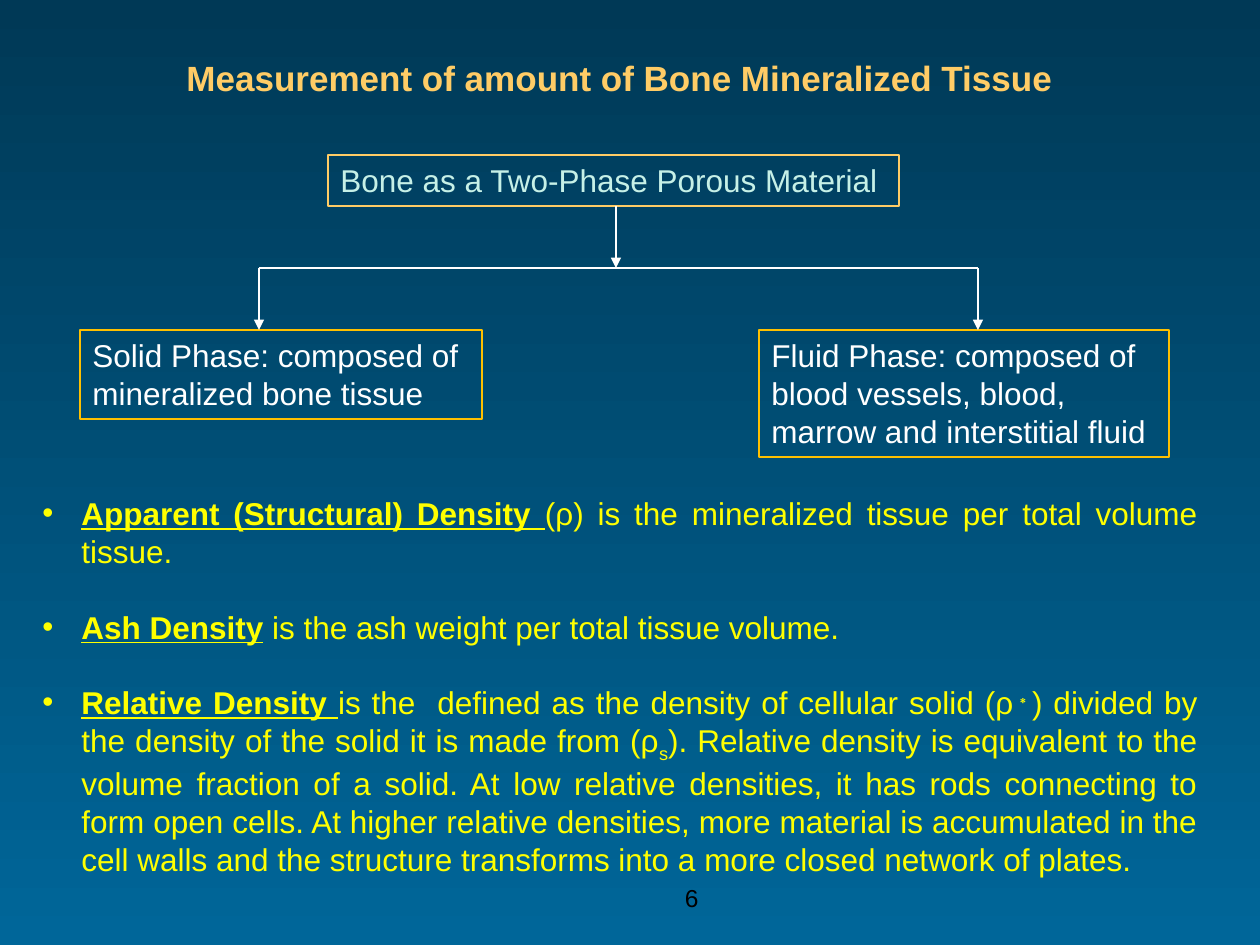
from lxml.etree import SubElement
from pptx import Presentation
from pptx.dml.color import RGBColor
from pptx.enum.shapes import MSO_CONNECTOR, MSO_SHAPE
from pptx.enum.text import MSO_ANCHOR, PP_ALIGN
from pptx.oxml.ns import qn
from pptx.util import Emu, Pt

SCALE = 914400 / 126
WHITE, YELLOW, AMBER, GOLD = "FFFFFF", "FFFF00", "FFC000", "FFCC66"
TERM = {"bold": True, "underline": True}
DEFINITIONS = [
    (PP_ALIGN.JUSTIFY, [
        ("Apparent (Structural) Density ", TERM),
        ("(ρ) is the mineralized tissue per total volume tissue.", {}),
    ]),
    (PP_ALIGN.LEFT, [
        ("Ash Density", TERM),
        (" is the ash weight per total tissue volume.", {}),
    ]),
    (PP_ALIGN.JUSTIFY, [
        ("Relative Density ", TERM),
        ("is the  defined as the density of cellular solid (ρ", {}),
        ("∗", {"baseline": 30}),
        (") divided by the density of the solid it is made from (ρ", {}),
        ("s", {"baseline": -25}),
        ("). Relative density is equivalent to the volume fraction of a solid. "
         "At low relative densities, it has rods connecting to form open cells. "
         "At higher relative densities, more material is accumulated in the cell "
         "walls and the structure transforms into a more closed network of plates.", {}),
    ]),
]


def px(length):
    """Turn pixels into EMU."""
    return Emu(round(length * SCALE))


def colour(value):
    """Turn a hex string into a colour."""
    return RGBColor.from_string(value)


def add_text(para, text, size=18, color=WHITE, bold=False, underline=False, baseline=0):
    """Append one formatted span to a paragraph."""
    span = para.add_run()
    span.text = text
    font = span.font
    font.name, font.size, font.bold, font.underline = "Arial", Pt(size), bold, underline
    font.color.rgb = colour(color)
    if baseline:
        span._r.get_or_add_rPr().set("baseline", str(baseline * 1000))


def add_text_box(page, area):
    """Add a wrapping text box and return its text frame."""
    frame = page.shapes.add_textbox(*map(px, area)).text_frame
    frame.word_wrap = True
    return frame


def add_label(page, area, text, align=PP_ALIGN.LEFT, **style):
    """Add a text box holding one paragraph."""
    para = add_text_box(page, area).paragraphs[0]
    para.alignment = align
    add_text(para, text, **style)


def add_phase_box(page, area, text, border, **style):
    """Add an outlined box of the diagram."""
    box = page.shapes.add_shape(MSO_SHAPE.RECTANGLE, *map(px, area))
    box.shadow.inherit = False
    box.fill.background()
    box.line.color.rgb = colour(border)
    box.line.width = Pt(0.75)
    frame = box.text_frame
    frame.word_wrap = True
    frame.vertical_anchor = MSO_ANCHOR.TOP
    para = frame.paragraphs[0]
    para.alignment = PP_ALIGN.LEFT
    add_text(para, text, **style)


def add_line(page, start, end, arrow=False):
    """Add a white line, with an arrowhead at its end on request."""
    line = page.shapes.add_connector(MSO_CONNECTOR.STRAIGHT, *map(px, start + end))
    line.line.color.rgb = colour(WHITE)
    line.line.width = Pt(0.75)
    if arrow:
        SubElement(line.line._get_or_add_ln(), qn("a:tailEnd"), type="triangle")
    SubElement(line._element.spPr, qn("a:effectLst"))


def add_diagram(page, area):
    """Draw the two-phase tree inside the given box."""
    left, top, width, height = area
    solid, root, fluid = left + 179, left + 536, left + 898
    branch, leaves = top + 113, top + 175
    add_phase_box(page, (left + 248, top, 571, 51),
                  "Bone as a Two-Phase Porous Material", GOLD, color="C6F0E7")
    add_line(page, (root, top + 51), (root, branch), arrow=True)
    add_line(page, (solid, branch), (fluid, branch))
    add_phase_box(page, (left, leaves, 402, 89),
                  "Solid Phase: composed of  mineralized bone tissue", AMBER)
    add_phase_box(page, (left + width - 410, leaves, 410, height - 175),
                  "Fluid Phase: composed of blood vessels, blood, marrow and interstitial fluid",
                  AMBER)
    for stem in (solid, fluid):
        add_line(page, (stem, branch), (stem, leaves), arrow=True)


def add_definitions(page, area):
    """Write the bulleted density definitions inside the given box."""
    frame = add_text_box(page, area)
    for index, (align, spans) in enumerate(DEFINITIONS):
        para = frame.add_paragraph() if index else frame.paragraphs[0]
        para.alignment = align
        if index:
            para.space_before = Pt(21.6)
        props = para._p.get_or_add_pPr()
        props.set("marL", str(px(39)))
        props.set("indent", str(-px(39)))
        SubElement(SubElement(props, qn("a:buClr")), qn("a:srgbClr"), val=YELLOW)
        SubElement(props, qn("a:buFont"), typeface="Arial")
        SubElement(props, qn("a:buChar"), char="•")
        for text, style in spans:
            add_text(para, text, color=YELLOW, **style)


def add_background(page):
    """Fill the page with a vertical blue gradient."""
    fill = page.background.fill
    fill.gradient()
    fill.gradient_angle = 270
    for stop, value in zip(fill.gradient_stops, ("003956", "006699")):
        stop.color.rgb = colour(value)


def main():
    """Build and save the deck."""
    deck = Presentation()
    deck.slide_width, deck.slide_height = px(1260), px(945)
    page = deck.slides.add_slide(deck.slide_layouts[6])
    add_background(page)
    add_label(page, (546, 877, 165, 52), "6", align=PP_ALIGN.RIGHT, size=14, color="000000")
    add_label(page, (174, 50, 927, 55), "Measurement of amount of Bone Mineralized Tissue",
              size=20, color=GOLD, bold=True)
    add_definitions(page, (30, 488, 1180, 432))
    add_diagram(page, (80, 155, 1089, 302))
    deck.save("out.pptx")


if __name__ == "__main__":
    main()
